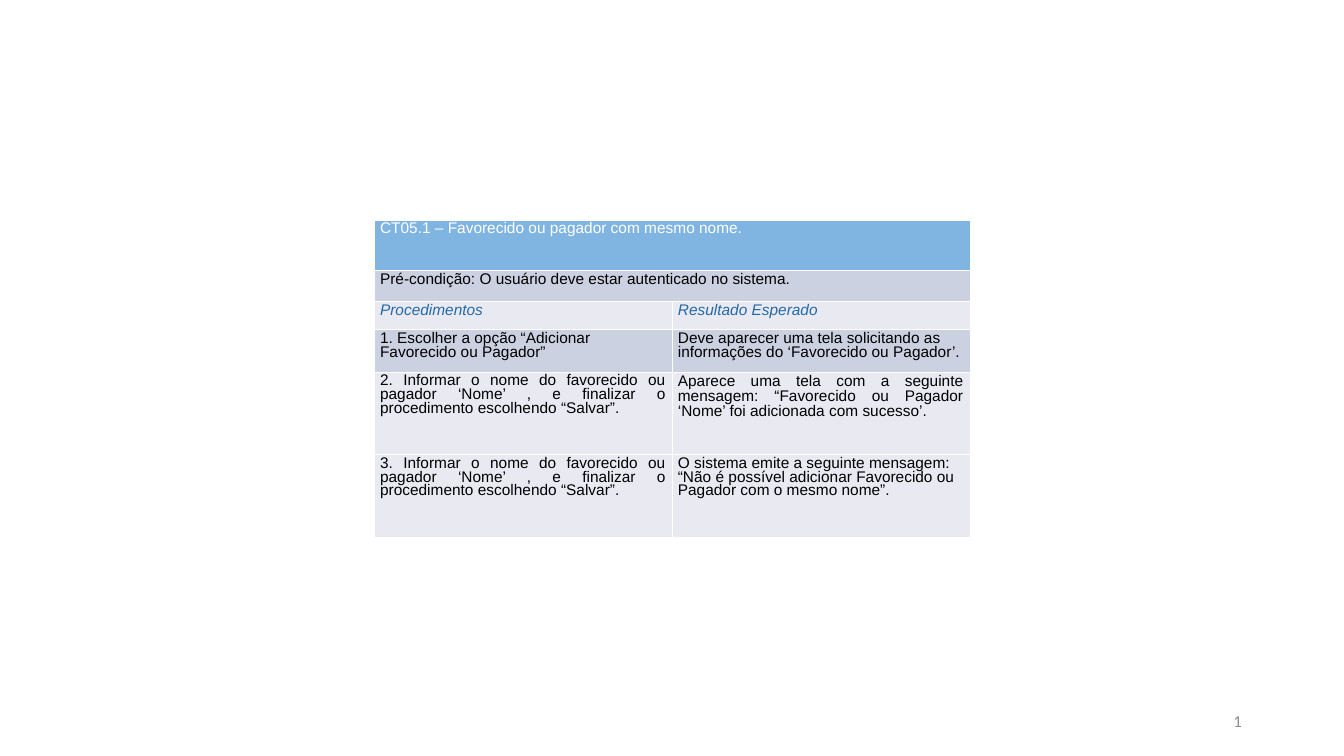
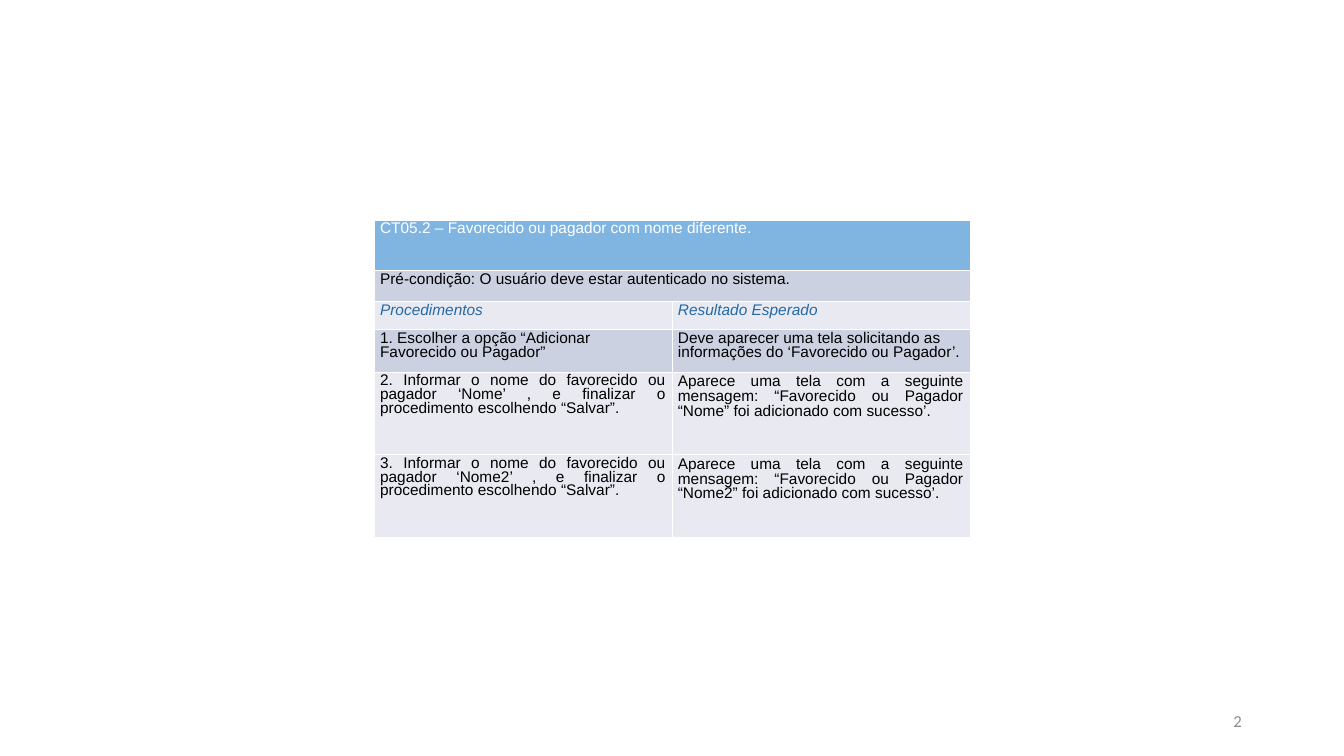
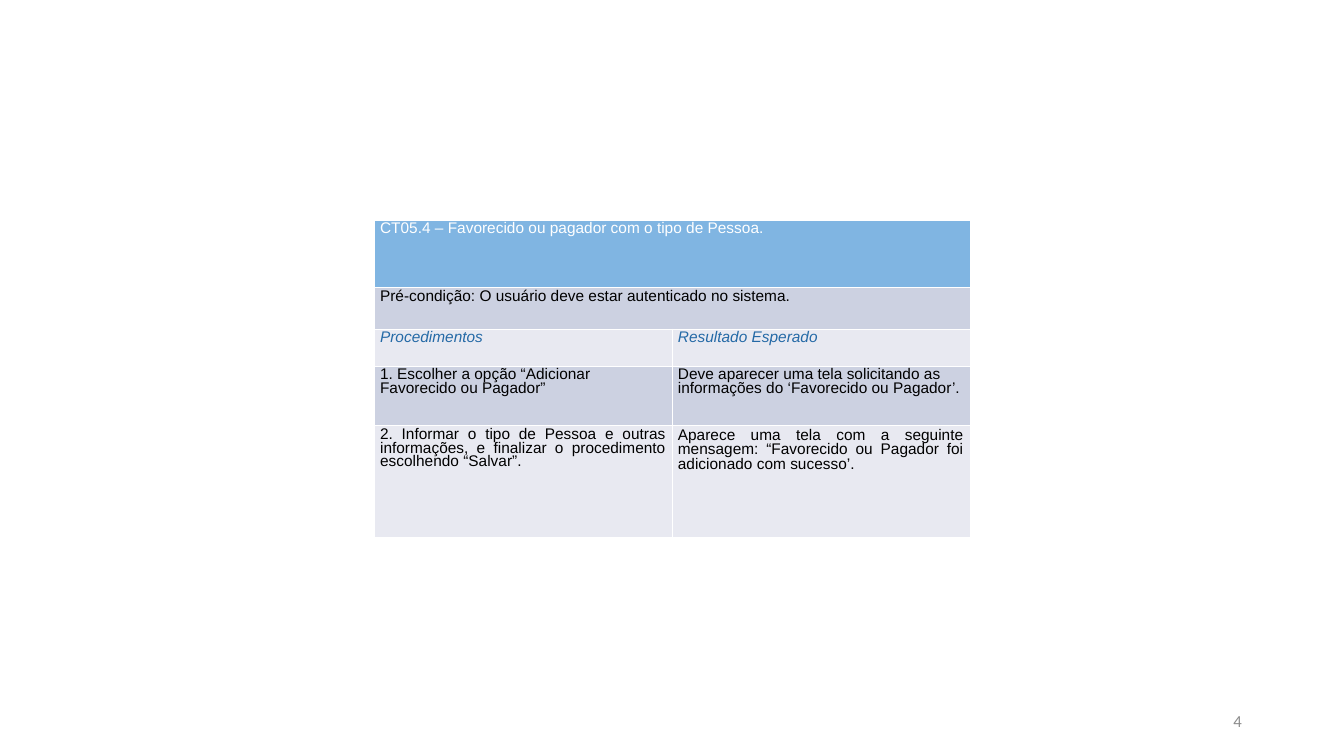
from dataclasses import dataclass

from lxml.etree import SubElement
from pptx import Presentation
from pptx.dml.color import RGBColor
from pptx.enum.text import MSO_ANCHOR, PP_ALIGN
from pptx.oxml.ns import qn
from pptx.slide import Slide
from pptx.table import _Cell
from pptx.text.text import _Paragraph
from pptx.util import Emu, Inches, Pt

COLORS = {
    "header": "80B5E2",
    "band": "CCD1E1",
    "pale": "E8E9F1",
    "heading": "2469A6",
    "text": "000000",
    "white": "FFFFFF",
    "number": "8C8C8C",
}
SLIDE_WIDTH, SLIDE_HEIGHT = Inches(13.33), Inches(7.5)
BORDER = Pt(0.06)

# Boxes as left, top, width, height in percent of the slide.
CASE_BOX = (27.83, 29.07, 44.32, 42.0)
NUMBER_BOX = (70.65, 92.67, 22.5, 5.33)
# Row heights in percent of the slide height.
THREE_STEP_ROWS = (6.67, 4.13, 3.73, 5.6, 10.93, 10.93)
TWO_STEP_ROWS = (8.93, 5.47, 4.93, 7.87, 14.8)


@dataclass(frozen=True)
class Entry:
    """The words of one cell and how they are set."""
    words: str
    color: str = "text"
    italic: bool = False
    align: PP_ALIGN = PP_ALIGN.LEFT
    spacing: float = 0.8


@dataclass(frozen=True)
class Row:
    """One band of the table; a single entry spans both columns."""
    fill: str
    entries: tuple[Entry, ...]


@dataclass(frozen=True)
class TestCase:
    """A test case with its page number, title and later steps."""
    number: int
    title: str
    heights: tuple[float, ...]
    steps: tuple[tuple[Entry, Entry], ...]


def across(percent: float) -> Emu:
    """Return a share of the slide width."""
    return Emu(round(SLIDE_WIDTH * percent / 100))


def down(percent: float) -> Emu:
    """Return a share of the slide height."""
    return Emu(round(SLIDE_HEIGHT * percent / 100))


def place(box: tuple[float, ...]) -> tuple[Emu, ...]:
    """Convert a box in percent into slide lengths."""
    left, top, width, height = box
    return across(left), down(top), across(width), down(height)


def action(words: str) -> Entry:
    """Return a justified step for the user."""
    return Entry(words, align=PP_ALIGN.JUSTIFY)


def save_action(step: int, name: str) -> Entry:
    """Return the step that enters a name and saves."""
    return action(f"{step}. Informar o nome do favorecido ou pagador ‘{name}’ , "
                  "e finalizar o procedimento escolhendo “Salvar”.")


def success(outcome: str) -> Entry:
    """Return the message expected after saving."""
    return Entry("Aparece uma tela com a seguinte mensagem: “Favorecido ou "
                 f"Pagador {outcome} com sucesso’.",
                 align=PP_ALIGN.JUSTIFY, spacing=0.86)


def case_rows(case: TestCase) -> list[Row]:
    """Put the shared opening rows before the steps of a case."""
    opening = [
        Row("header", (Entry(case.title, "white"),)),
        Row("band", (Entry("Pré-condição: O usuário deve estar autenticado "
                           "no sistema."),)),
        Row("pale", (Entry("Procedimentos", "heading", True),
                     Entry("Resultado Esperado", "heading", True))),
        Row("band", (Entry("1. Escolher a opção “Adicionar Favorecido ou Pagador”"),
                     Entry("Deve aparecer uma tela solicitando as informações "
                           "do ‘Favorecido ou Pagador’."))),
    ]
    return opening + [Row("pale", step) for step in case.steps]


def format_text(paragraph: _Paragraph, font: str, size: float, color: str,
                italic: bool = False) -> None:
    """Set the font of every run in a paragraph."""
    for run in paragraph.runs:
        run.font.name = font
        run.font.size = Pt(size)
        run.font.italic = italic
        run.font.color.rgb = RGBColor.from_string(COLORS[color])


def frame_cell(cell: _Cell, fill: str) -> None:
    """Give a cell thin white borders, then its fill."""
    properties = cell._tc.get_or_add_tcPr()
    for side in ("lnL", "lnR", "lnT", "lnB"):
        line = SubElement(properties, qn(f"a:{side}"), w=str(int(BORDER)))
        paint = SubElement(line, qn("a:solidFill"))
        SubElement(paint, qn("a:srgbClr"), val=COLORS["white"])
    cell.fill.solid()
    cell.fill.fore_color.rgb = RGBColor.from_string(COLORS[fill])


def write_entry(cell: _Cell, entry: Entry) -> None:
    """Write an entry into its cell."""
    cell.margin_left = cell.margin_right = Inches(0.06)
    cell.margin_top = cell.margin_bottom = Inches(0.03)
    cell.text_frame.text = entry.words
    paragraph = cell.text_frame.paragraphs[0]
    paragraph.alignment = entry.align
    paragraph.line_spacing = entry.spacing
    format_text(paragraph, "Arial", 11, entry.color, entry.italic)


def draw_case(slide: Slide, case: TestCase) -> None:
    """Draw the table of a test case."""
    rows = case_rows(case)
    table = slide.shapes.add_table(len(rows), 2, *place(CASE_BOX)).table
    table.first_row = table.horz_banding = False
    for index, (row, height) in enumerate(zip(rows, case.heights)):
        table.rows[index].height = down(height)
        cells = [table.cell(index, column) for column in range(2)]
        for cell in cells:
            frame_cell(cell, row.fill)
        if len(row.entries) == 1:
            cells[0].merge(cells[1])
        for cell, entry in zip(cells, row.entries):
            write_entry(cell, entry)


def draw_number(slide: Slide, number: int) -> None:
    """Draw the page number at the lower right."""
    frame = slide.shapes.add_textbox(*place(NUMBER_BOX)).text_frame
    frame.word_wrap = True
    frame.vertical_anchor = MSO_ANCHOR.MIDDLE
    frame.text = str(number)
    frame.paragraphs[0].alignment = PP_ALIGN.RIGHT
    format_text(frame.paragraphs[0], "Calibri", 12, "number")


CASES = (
    TestCase(1, "CT05.1 – Favorecido ou pagador com mesmo nome.", THREE_STEP_ROWS, (
        (save_action(2, "Nome"), success("‘Nome’ foi adicionada")),
        (save_action(3, "Nome"),
         Entry("O sistema emite a seguinte mensagem: “Não é possível adicionar "
               "Favorecido ou Pagador com o mesmo nome”.")),
    )),
    TestCase(2, "CT05.2 – Favorecido ou pagador com nome diferente.", THREE_STEP_ROWS, (
        (save_action(2, "Nome"), success("“Nome” foi adicionado")),
        (save_action(3, "Nome2"), success("“Nome2” foi adicionado")),
    )),
    TestCase(4, "CT05.4 – Favorecido ou pagador com o tipo de Pessoa.", TWO_STEP_ROWS, (
        (action("2. Informar o tipo de Pessoa e outras informações, e finalizar "
                "o procedimento escolhendo “Salvar”."),
         success("foi adicionado")),
    )),
)


def main() -> None:
    """Build the deck of test cases."""
    deck = Presentation()
    deck.slide_width, deck.slide_height = SLIDE_WIDTH, SLIDE_HEIGHT
    for case in CASES:
        slide = deck.slides.add_slide(deck.slide_layouts[6])
        draw_number(slide, case.number)
        draw_case(slide, case)
    deck.save("out.pptx")


main()
